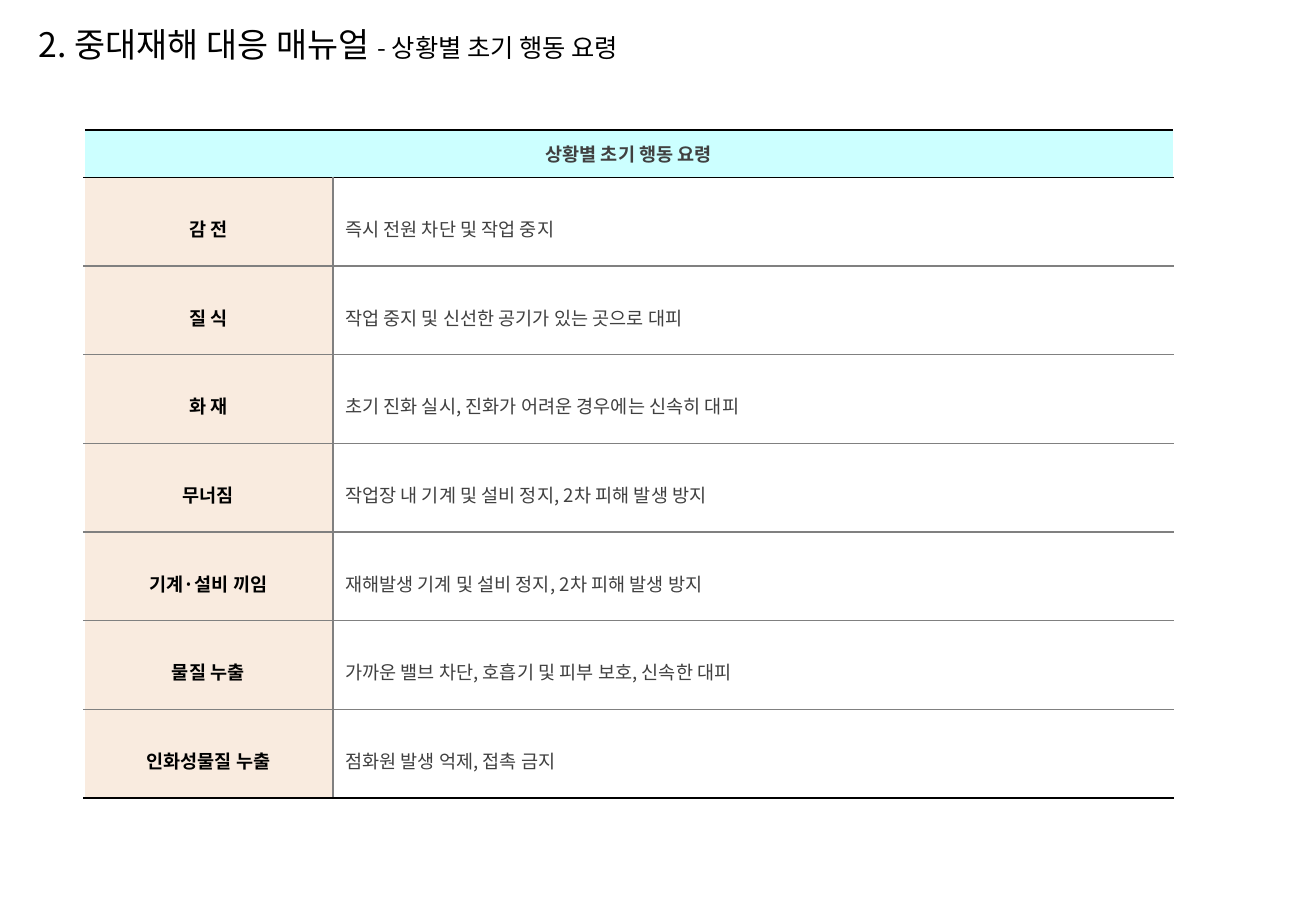
import pptx
import pptx.util
import pptx.dml.color
import pptx.enum.text
import pptx.oxml.ns
from lxml import etree

Inches = pptx.util.Inches
Align = pptx.enum.text.PP_ALIGN
Anchor = pptx.enum.text.MSO_ANCHOR
qn = pptx.oxml.ns.qn

theme = {
    "font": "Noto Sans CJK KR",
    "black": "000000", "text": "404040", "rule": "808080", "white": "FFFFFF",
    "head": "CCFFFF", "label": "F9EBDF",
    "title": 20, "sub": 15, "body": 11,
}


def add_run(para, text, size, color, bold=False):
    run = para.add_run()
    run.text = text
    font = run.font
    font.name = theme["font"]
    font.size = pptx.util.Pt(theme[size])
    font.bold = bold
    font.color.rgb = pptx.dml.color.RGBColor.from_string(theme[color])
    east = etree.Element(qn("a:ea"), typeface=theme["font"])
    font._element.find(qn("a:latin")).addnext(east)


def style_cell(cell, fill, edges, inset):
    cell.fill.solid()
    cell.fill.fore_color.rgb = pptx.dml.color.RGBColor.from_string(theme[fill])
    cell.vertical_anchor = Anchor.MIDDLE
    cell.margin_left, cell.margin_right = Inches(inset), Inches(0.03)
    cell.margin_top = cell.margin_bottom = Inches(0.04)
    # Borders come before the fill: left, right, top, bottom
    props = cell._tc.get_or_add_tcPr()
    for i, (side, color) in enumerate(zip("LRTB", edges)):
        line = etree.Element(qn("a:ln" + side), w="12700")
        solid = etree.SubElement(line, qn("a:solidFill"))
        etree.SubElement(solid, qn("a:srgbClr"), val=theme[color])
        props.insert(i, line)


deck = pptx.Presentation()
deck.slide_width, deck.slide_height = Inches(10.83), Inches(7.5)
slide = deck.slides.add_slide(deck.slide_layouts[5])

# Title
title = slide.shapes.title
title.left, title.top = Inches(0.22), Inches(0.13)
title.width, title.height = Inches(10.39), Inches(0.47)
frame = title.text_frame
frame.auto_size = pptx.enum.text.MSO_AUTO_SIZE.NONE
frame.vertical_anchor = Anchor.MIDDLE
para = frame.paragraphs[0]
para.alignment = Align.LEFT
add_run(para, "2. 중대재해 대응 매뉴얼 ", "title", "black")
add_run(para, "- 상황별 초기 행동 요령", "sub", "black")

# Table grid
steps = [
    ("감 전", "즉시 전원 차단 및 작업 중지"),
    ("질 식", "작업 중지 및 신선한 공기가 있는 곳으로 대피"),
    ("화 재", "초기 진화 실시, 진화가 어려운 경우에는 신속히 대피"),
    ("무너짐", "작업장 내 기계 및 설비 정지, 2차 피해 발생 방지"),
    ("기계·설비 끼임", "재해발생 기계 및 설비 정지, 2차 피해 발생 방지"),
    ("물질 누출", "가까운 밸브 차단, 호흡기 및 피부 보호, 신속한 대피"),
    ("인화성물질 누출", "점화원 발생 억제, 접촉 금지"),
]
table = slide.shapes.add_table(
    len(steps) + 1, 2, Inches(0.69), Inches(1.07), Inches(8.97), Inches(5.5)).table
table.first_row = table.horz_banding = False
table.columns[0].width, table.columns[1].width = Inches(2.05), Inches(6.92)
for i, row in enumerate(table.rows):
    row.height = Inches(0.73 if i else 0.39)

# Header row
head = table.cell(0, 0)
head.merge(table.cell(0, 1))
for cell in table.rows[0].cells:
    style_cell(cell, "head", ("white", "white", "black", "black"), 0.03)
para = head.text_frame.paragraphs[0]
para.alignment = Align.CENTER
add_run(para, "상황별 초기 행동 요령", "body", "text", True)

# One row per situation
for i, (name, action) in enumerate(steps, 1):
    top = "black" if i == 1 else "rule"
    base = "black" if i == len(steps) else "rule"
    label, note = table.cell(i, 0), table.cell(i, 1)
    style_cell(label, "label", ("white", "rule", top, base), 0.03)
    style_cell(note, "white", ("rule", "white", top, base), 0.1)
    for cell, text, color, align in (
            (label, name, "black", Align.CENTER), (note, action, "text", Align.LEFT)):
        para = cell.text_frame.paragraphs[0]
        para.alignment = align
        para.line_spacing = 1.5
        add_run(para, text, "body", color, cell is label)

deck.save("out.pptx")
